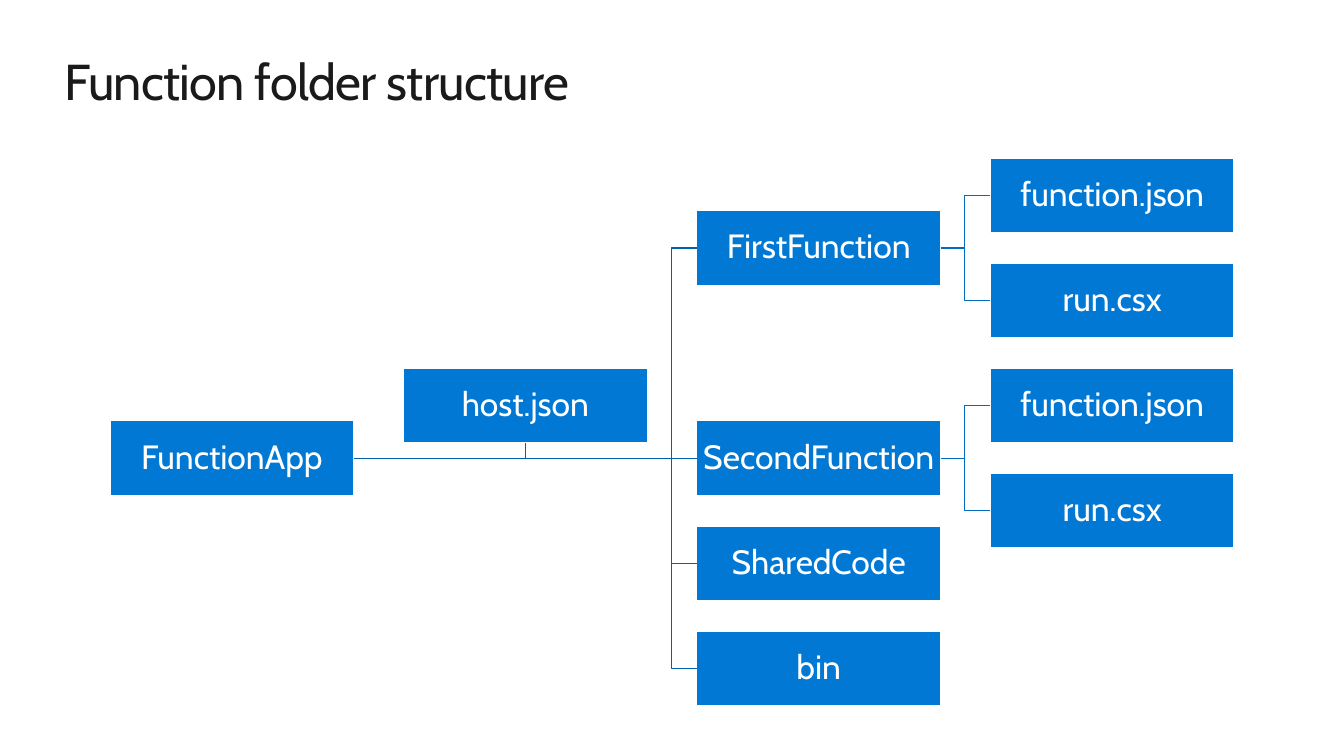
from lxml import etree
from pptx import Presentation
from pptx.dml.color import RGBColor
from pptx.enum.shapes import MSO_CONNECTOR, MSO_SHAPE
from pptx.enum.text import MSO_ANCHOR, MSO_AUTO_SIZE, PP_ALIGN
from pptx.oxml.ns import qn
from pptx.util import Inches, Pt

STRAIGHT = MSO_CONNECTOR.STRAIGHT
RECTANGLE = MSO_SHAPE.RECTANGLE
MIDDLE = MSO_ANCHOR.MIDDLE
TOP = MSO_ANCHOR.TOP
GROW = MSO_AUTO_SIZE.SHAPE_TO_FIT_TEXT
FIXED = MSO_AUTO_SIZE.NONE
LEFT = PP_ALIGN.LEFT
CENTER = PP_ALIGN.CENTER

COLORS = {
    "title": "1A1A1A",
    "box": "0078D4",
    "white": "FFFFFF",
    "trunk": "0060AA",
    "branch": "006DC0",
}

BOX_WIDTH, BOX_HEIGHT = 2.42, 0.74
FIRST_COLUMN, COLUMN_STEP = 1.09, 2.91
FIRST_CENTER, ROW_STEP = 1.94, (6.63 - 1.94) / 9
BEND_GAP = 0.25

BOXES = {
    "app": ("FunctionApp", 0, 5),
    "host": ("host.json", 1, 4),
    "first": ("FirstFunction", 2, 1),
    "first_json": ("function.json", 3, 0),
    "first_run": ("run.csx", 3, 2),
    "second": ("SecondFunction", 2, 5),
    "second_json": ("function.json", 3, 4),
    "second_run": ("run.csx", 3, 6),
    "shared": ("SharedCode", 2, 7),
    "bin": ("bin", 2, 9),
}

BRANCHES = {
    "app": ("trunk", ("first", "second", "shared", "bin")),
    "first": ("branch", ("first_json", "first_run")),
    "second": ("branch", ("second_json", "second_run")),
}


class TreeSlide:
    def __init__(self, presentation, font="Cabin"):
        self.slide = presentation.slides.add_slide(presentation.slide_layouts[5])
        self.shapes = self.slide.shapes
        self.font = font

    def color(self, name):
        return RGBColor.from_string(COLORS[name])

    def apply(self, target, formats):
        for name, value in formats.items():
            setattr(target, name, value)

    def label(self, shape, text, size, color, alignment, spacing, frame_formats):
        frame = shape.text_frame
        self.apply(frame, frame_formats)
        paragraph = frame.paragraphs[0]
        self.apply(paragraph, {"alignment": alignment, "line_spacing": spacing})
        run = paragraph.add_run()
        run.text = text
        self.apply(run.font, {"name": self.font, "size": Pt(size)})
        run.font.color.rgb = self.color(color)
        return run

    def outline(self, shape, color):
        shape.line.color.rgb = self.color(color)
        shape.line.width = Pt(0.85)

    def title(self, text):
        title = self.shapes.title
        self.apply(title, {
            "left": Inches(0.64), "top": Inches(0.5),
            "width": Inches(12.05), "height": Inches(0.61),
        })
        run = self.label(title, text, 36, "title", LEFT, 1.0, {
            "margin_left": 0, "margin_right": 0,
            "margin_top": 0, "margin_bottom": 0,
            "vertical_anchor": TOP, "word_wrap": True, "auto_size": GROW,
        })
        run._r.get_or_add_rPr().set("spc", "-50")

    def box(self, text, column, row):
        left = FIRST_COLUMN + column * COLUMN_STEP
        top = FIRST_CENTER + row * ROW_STEP - BOX_HEIGHT / 2
        shape = self.shapes.add_shape(
            RECTANGLE, Inches(left), Inches(top), Inches(BOX_WIDTH), Inches(BOX_HEIGHT))
        shape.shadow.inherit = False
        shape.fill.solid()
        shape.fill.fore_color.rgb = self.color("box")
        self.outline(shape, "white")
        margin = Inches(0.02)
        self.label(shape, text, 24, "white", CENTER, 0.9, {
            "margin_left": margin, "margin_right": margin,
            "margin_top": margin, "margin_bottom": margin,
            "vertical_anchor": MIDDLE, "word_wrap": True, "auto_size": FIXED,
        })
        return shape

    def bent_line(self, points, color):
        builder = self.shapes.build_freeform(*points[0])
        builder.add_line_segments(points[1:], close=False)
        shape = builder.convert_to_shape()
        shape.shadow.inherit = False
        shape.fill.background()
        self.outline(shape, color)

    def straight_line(self, parent, child, color):
        connector = self.shapes.add_connector(STRAIGHT, 0, 0, 0, 0)
        connector.begin_connect(parent, 3)
        connector.end_connect(child, 1)
        self.outline(connector, color)
        etree.SubElement(connector._element.spPr, qn("a:effectLst"))

    def branch(self, parent, child, color):
        if parent.top == child.top:
            self.straight_line(parent, child, color)
            return
        start_y = parent.top + parent.height // 2
        end_y = child.top + child.height // 2
        bend = child.left - Inches(BEND_GAP)
        self.bent_line([
            (parent.left + parent.width, start_y), (bend, start_y),
            (bend, end_y), (child.left, end_y),
        ], color)

    def assistant(self, parent, child, color):
        start_y = parent.top + parent.height // 2
        center = child.left + child.width // 2
        self.bent_line([
            (parent.left + parent.width, start_y), (center, start_y),
            (center, child.top + child.height),
        ], color)


def main():
    presentation = Presentation()
    presentation.slide_width = Inches(13.33)
    presentation.slide_height = Inches(7.5)
    tree = TreeSlide(presentation)
    tree.title("Function folder structure")
    boxes = {name: tree.box(*details) for name, details in BOXES.items()}
    tree.assistant(boxes["app"], boxes["host"], "trunk")
    for parent, (color, children) in BRANCHES.items():
        for child in children:
            tree.branch(boxes[parent], boxes[child], color)
    presentation.save("out.pptx")


if __name__ == "__main__":
    main()
